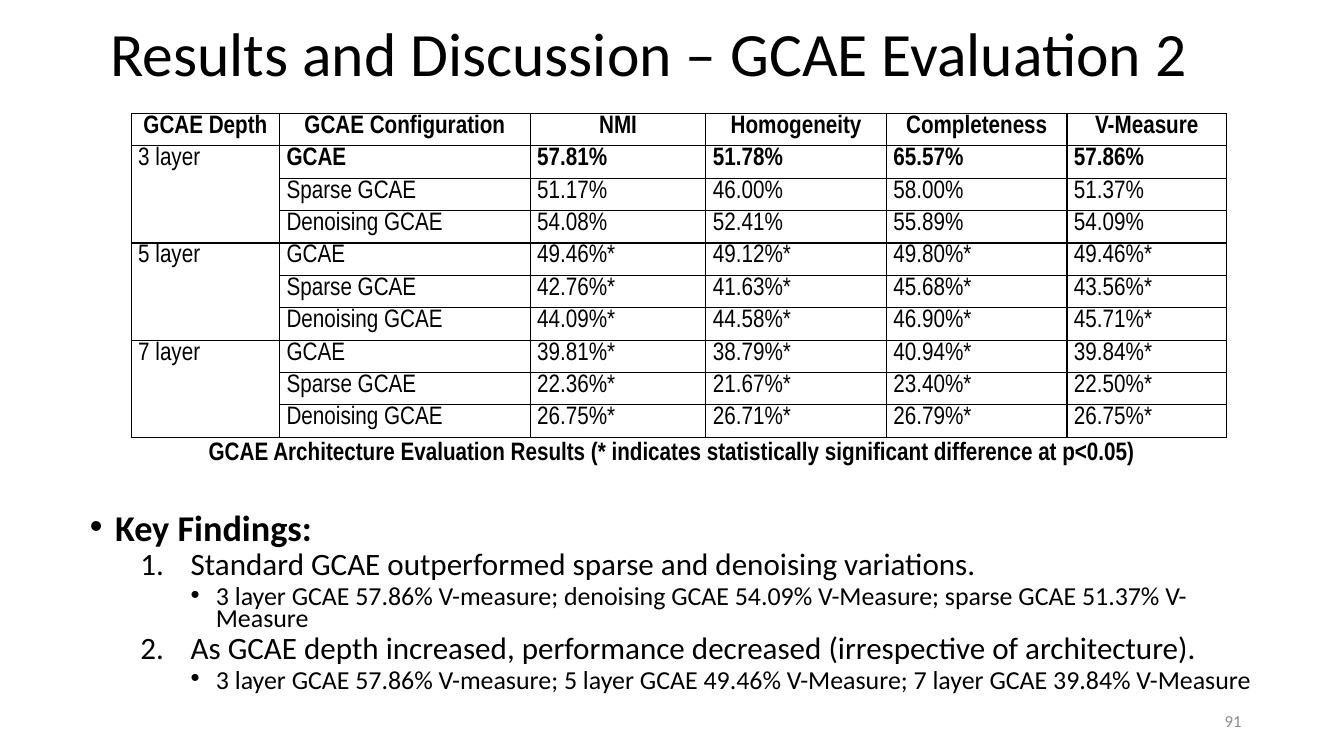
import pptx
import pptx.util
import pptx.dml.color
import pptx.enum.text
from lxml import etree
from pptx.oxml.ns import qn

Pt = pptx.util.Pt
ALIGN = pptx.enum.text.PP_ALIGN
ANCHOR = pptx.enum.text.MSO_ANCHOR
COLORS = {"ink": "000000", "page_number": "8C8C8C"}

HEADINGS = ["GCAE Depth", "GCAE Configuration", "NMI", "Homogeneity", "Completeness", "V-Measure"]
CONFIGURATIONS = ["GCAE", "Sparse GCAE", "Denoising GCAE"]
SCORES = {
    "3 layer": [
        ["57.81%", "51.78%", "65.57%", "57.86%"],
        ["51.17%", "46.00%", "58.00%", "51.37%"],
        ["54.08%", "52.41%", "55.89%", "54.09%"],
    ],
    "5 layer": [
        ["49.46%*", "49.12%*", "49.80%*", "49.46%*"],
        ["42.76%*", "41.63%*", "45.68%*", "43.56%*"],
        ["44.09%*", "44.58%*", "46.90%*", "45.71%*"],
    ],
    "7 layer": [
        ["39.81%*", "38.79%*", "40.94%*", "39.84%*"],
        ["22.36%*", "21.67%*", "23.40%*", "22.50%*"],
        ["26.75%*", "26.71%*", "26.79%*", "26.75%*"],
    ],
}
COLUMN_WIDTHS = [106, 179, 125.5, 129, 129, 114]
ROW_HEIGHT = 18.1

FINDINGS = [
    (0, "Key Findings:"),
    (1, "Standard GCAE outperformed sparse and denoising variations."),
    (2, "3 layer GCAE 57.86% V-measure; denoising GCAE 54.09% V-Measure; sparse GCAE 51.37% V-Measure"),
    (1, "As GCAE depth increased, performance decreased (irrespective of architecture)."),
    (2, "3 layer GCAE 57.86% V-measure; 5 layer GCAE 49.46% V-Measure; 7 layer GCAE 39.84% V-Measure"),
]
LEVELS = [
    {"size": 25.9, "margin": 18, "hanging": 18, "numbered": False},
    {"size": 22.2, "margin": 72, "hanging": 36, "numbered": True},
    {"size": 18.5, "margin": 90, "hanging": 18, "numbered": False},
]


def set_font(paragraph, size, name="Calibri", color="ink", bold=False):
    font = paragraph.font
    font.size = Pt(size)
    font.name = name
    font.bold = bold
    font.color.rgb = pptx.dml.color.RGBColor.from_string(COLORS[color])


def place(shape, left, top, width, height):
    shape.left, shape.top = Pt(left), Pt(top)
    shape.width, shape.height = Pt(width), Pt(height)


def add_title(slide, left, top, width, height):
    title = slide.shapes.title
    place(title, left, top, width, height)
    title.text_frame.text = "Results and Discussion – GCAE Evaluation 2"
    title.text_frame.auto_size = pptx.enum.text.MSO_AUTO_SIZE.NONE
    title.text_frame.vertical_anchor = ANCHOR.MIDDLE
    heading = title.text_frame.paragraphs[0]
    heading.alignment = ALIGN.LEFT
    heading.line_spacing = 0.9
    set_font(heading, 44)


def add_bullet(paragraph, margin, hanging, numbered):
    properties = paragraph._p.get_or_add_pPr()
    properties.set("marL", str(Pt(margin)))
    properties.set("indent", str(-Pt(hanging)))
    if numbered:
        etree.SubElement(properties, qn("a:buFont"), typeface="+mj-lt")
        etree.SubElement(properties, qn("a:buAutoNum"), type="arabicPeriod")
    else:
        etree.SubElement(properties, qn("a:buFont"), typeface="Arial")
        etree.SubElement(properties, qn("a:buChar"), char="•")


def add_findings(slide, left, top, width, height):
    findings = slide.placeholders[1]
    place(findings, left, top, width, height)
    frame = findings.text_frame
    frame.auto_size = pptx.enum.text.MSO_AUTO_SIZE.NONE
    for index, (depth, wording) in enumerate(FINDINGS):
        finding = frame.add_paragraph() if index else frame.paragraphs[0]
        finding.text = wording
        finding.level = depth
        level = LEVELS[depth]
        add_bullet(finding, level["margin"], level["hanging"], level["numbered"])
        finding.line_spacing = 0.7
        finding.space_before = Pt(5 if index else 0)
        set_font(finding, level["size"], bold=depth == 0)


def format_cell(cell, bold, alignment):
    cell.margin_left = cell.margin_right = Pt(5)
    cell.margin_top = cell.margin_bottom = 0
    properties = cell._tc.get_or_add_tcPr()
    for side in ("a:lnL", "a:lnR", "a:lnT", "a:lnB"):
        border = etree.SubElement(properties, qn(side), w=str(Pt(1)))
        fill = etree.SubElement(border, qn("a:solidFill"))
        etree.SubElement(fill, qn("a:srgbClr"), val=COLORS["ink"])
    cell.fill.background()
    entry = cell.text_frame.paragraphs[0]
    entry.alignment = alignment
    entry.line_spacing = 1.07
    set_font(entry, 18, "Arial Narrow", bold=bold)


def add_results(slide, left, top):
    rows = [HEADINGS]
    for depth, group in SCORES.items():
        for index, (configuration, scores) in enumerate(zip(CONFIGURATIONS, group)):
            rows.append(["" if index else depth, configuration, *scores])
    results = slide.shapes.add_table(
        len(rows), len(HEADINGS), Pt(left), Pt(top),
        Pt(sum(COLUMN_WIDTHS)), Pt(ROW_HEIGHT * len(rows))).table
    results.horz_banding = False
    results.first_row = False
    for column, width in zip(results.columns, COLUMN_WIDTHS):
        column.width = Pt(width)
    for r, row in enumerate(rows):
        results.rows[r].height = Pt(ROW_HEIGHT)
        for c, wording in enumerate(row):
            cell = results.cell(r, c)
            cell.text = wording
            format_cell(cell, r == 0 or (r == 1 and c > 0), ALIGN.LEFT if r else ALIGN.CENTER)
    group_size = len(CONFIGURATIONS)
    for first in range(1, len(rows), group_size):
        results.cell(first, 0).merge(results.cell(first + group_size - 1, 0))


def add_label(slide, wording, left, top, width, height, alignment, wrap=True):
    label = slide.shapes.add_textbox(Pt(left), Pt(top), Pt(width), Pt(height))
    label.text_frame.word_wrap = wrap
    label.text_frame.vertical_anchor = ANCHOR.MIDDLE
    paragraph = label.text_frame.paragraphs[0]
    paragraph.text = wording
    paragraph.alignment = alignment
    return paragraph


def add_caption(slide, left, top, width, height):
    caption = add_label(
        slide,
        "GCAE Architecture Evaluation Results (* indicates statistically significant difference at p<0.05)",
        left, top, width, height, ALIGN.CENTER, wrap=False)
    set_font(caption, 18, "Arial Narrow", bold=True)


def add_page_number(slide, left, top, width, height):
    page_number = add_label(slide, "91", left, top, width, height, ALIGN.RIGHT)
    set_font(page_number, 12, color="page_number")


def main():
    presentation = pptx.Presentation()
    presentation.slide_width, presentation.slide_height = Pt(960), Pt(540)
    slide = presentation.slides.add_slide(presentation.slide_layouts[1])
    add_title(slide, 71.5, -11.5, 828, 104.5)
    add_findings(slide, 57, 366, 845, 155.5)
    add_page_number(slide, 678, 500.5, 216, 28.75)
    add_results(slide, 93.75, 81)
    add_caption(slide, 138, 307.5, 684, 29)
    presentation.save("out.pptx")


if __name__ == "__main__":
    main()
